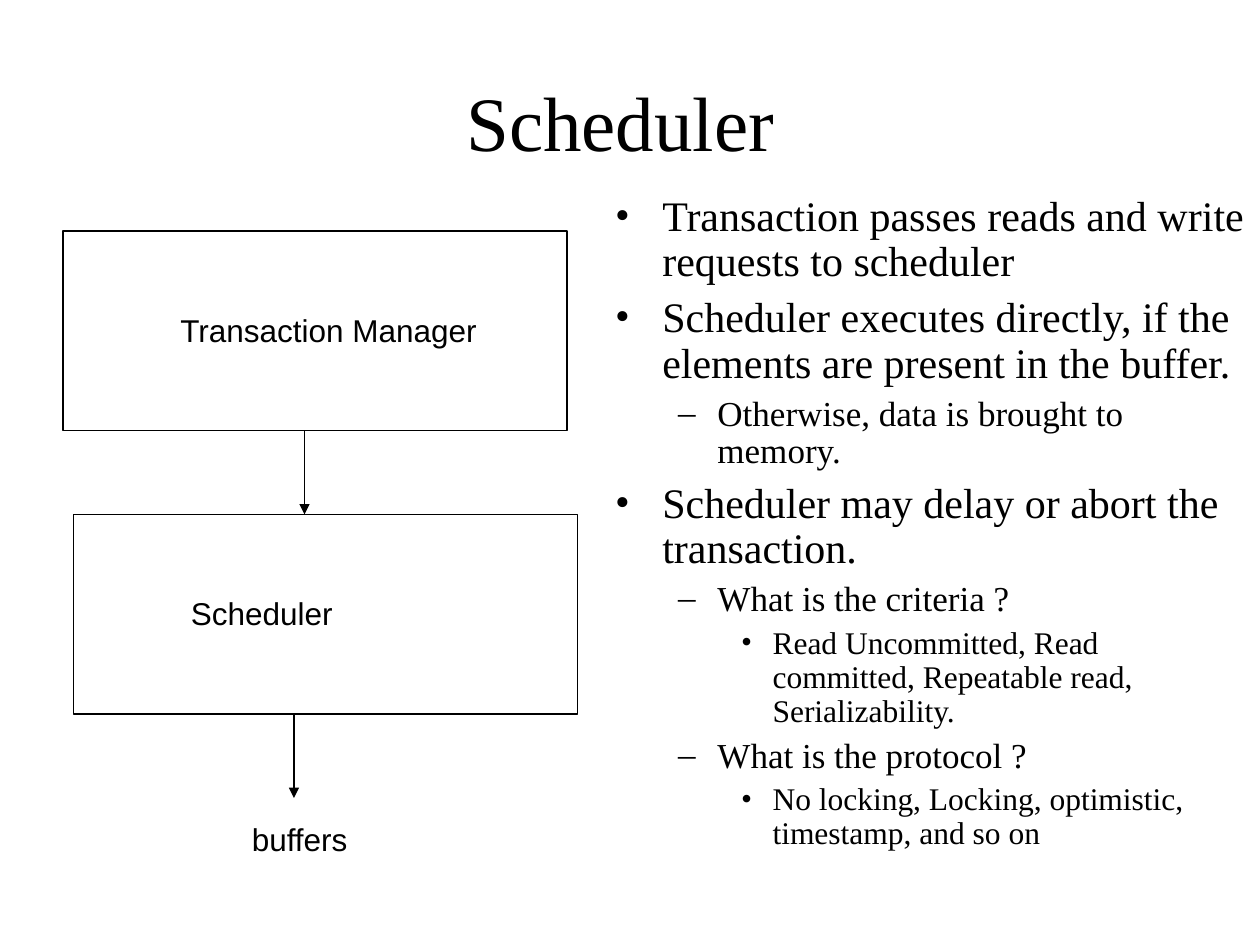
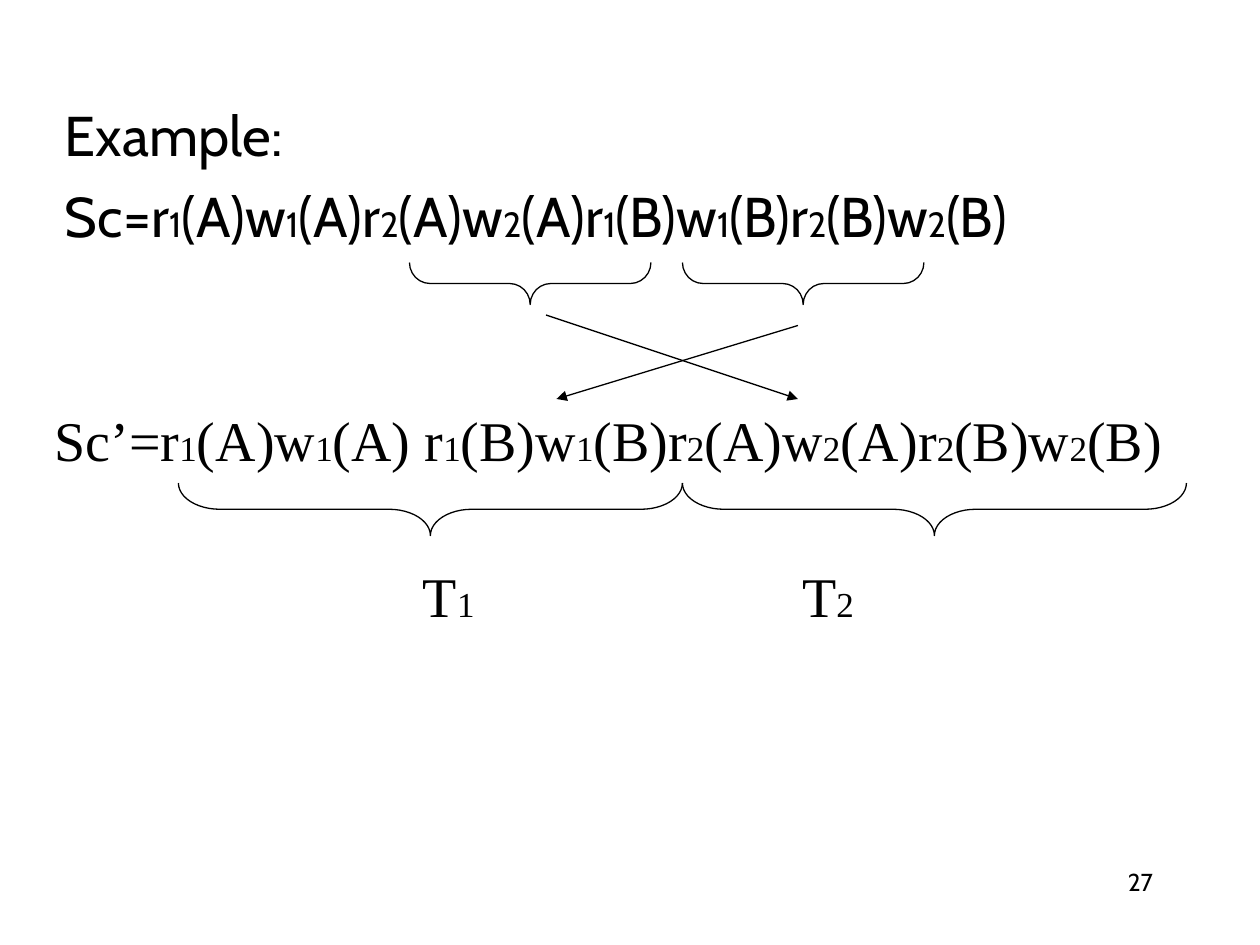
from itertools import groupby

from lxml import etree
from pptx import Presentation
from pptx import util as u
from pptx.dml.color import RGBColor
from pptx.enum import shapes, text
from pptx.oxml import ns

BLACK = RGBColor(0, 0, 0)
SERIF, SANS, ROUND = "Times New Roman", "Arial", "Cabin"
COLS, ROWS = 120, 90
CELL = u.Inches(10) // COLS
LINE = u.Pt(0.75)

# Outline levels: margin and hang in cells, size and space before in points
LEVELS = [
    ("•", 4.5, 4.5, 24, 6),
    ("–", 9.75, 3.75, 20, 5),
    ("•", 15, 3, 18, 4.5),
]

POINTS = [
    (0, "Transaction passes reads and write requests to scheduler"),
    (0, "Scheduler executes directly, if the elements are present in the buffer."),
    (1, "Otherwise, data is brought to memory."),
    (0, "Scheduler may delay or abort the transaction."),
    (1, "What is the criteria ?"),
    (2, "Read Uncommitted, Read committed, Repeatable read, Serializability."),
    (1, "What is the protocol ?"),
    (2, "No locking, Locking, optimistic, timestamp, and so on"),
]


def cells(*counts):
    return [u.Emu(round(n * CELL)) for n in counts]


def add(parent, tag, **attrs):
    return etree.SubElement(parent, ns.qn(tag), **attrs)


# Text
def frame(slide, box, wrap=True):
    body = slide.shapes.add_textbox(*cells(*box)).text_frame
    body.word_wrap = wrap
    return body


def style(para, font, size=None):
    para.font.name = font
    para.font.color.rgb = BLACK
    if size:
        para.font.size = u.Pt(size)


def write(slide, box, words, font, size, align=text.PP_ALIGN.LEFT, wrap=True):
    body = frame(slide, box, wrap)
    para = body.paragraphs[0]
    para.text = words
    para.alignment = align
    style(para, font, size)
    return body


def title(slide, box, words):
    body = write(slide, box, words, SERIF, 44, text.PP_ALIGN.CENTER)
    body.vertical_anchor = text.MSO_ANCHOR.MIDDLE


def label(slide, box, words):
    write(slide, box, words, SANS, 18, wrap=False)


def rows(body, items):
    """Yield one paragraph for each item, reusing the first."""
    for i, item in enumerate(items):
        yield i, body.paragraphs[0] if i == 0 else body.add_paragraph(), item


def outline(slide, box, points):
    for i, para, (level, words) in rows(frame(slide, box), points):
        mark, margin, hang, size, gap = LEVELS[level]
        para.text = words
        para.level = level
        props = para._p.get_or_add_pPr()
        props.set("marL", str(cells(margin)[0]))
        props.set("indent", str(-cells(hang)[0]))
        add(add(props, "a:buClr"), "a:srgbClr", val=str(BLACK))
        add(props, "a:buFont", typeface=SERIF)
        add(props, "a:buChar", char=mark)
        para.line_spacing = 0.9
        if i:
            para.space_before = u.Pt(gap)
        style(para, SERIF, size)


def formulas(slide, box, lines, font, gap, stops=()):
    """Write lines whose digits are small, like indices."""
    for i, para, line in rows(frame(slide, box), lines):
        if stops:
            tabs = add(para._p.get_or_add_pPr(), "a:tabLst")
            for stop in stops:
                add(tabs, "a:tab", pos=str(cells(stop)[0]), algn="l")
        if i:
            para.space_before = u.Pt(gap)
        style(para, font)
        for small, chars in groupby(line, str.isdigit):
            run = para.add_run()
            run.text = "".join(chars)
            run.font.size = u.Pt(20 if small else 32)


# Lines and outlines
def ink(shape):
    shape.line.color.rgb = BLACK
    shape.line.width = LINE


def arrow(slide, start, end):
    link = slide.shapes.add_connector(
        shapes.MSO_CONNECTOR.STRAIGHT, *cells(*start, *end))
    ink(link)
    add(link.line._get_or_add_ln(), "a:tailEnd", type="triangle")
    add(link._element.spPr, "a:effectLst")


def hollow(slide, kind, box):
    shape = slide.shapes.add_shape(kind, *cells(*box))
    shape.fill.background()
    shape.shadow.inherit = False
    ink(shape)
    return shape


def brace(slide, box, curve):
    """Draw a brace that points down and fills the box."""
    x, y, w, h = box
    turned = (x + (w - h) / 2, y + (h - w) / 2, h, w)
    shape = hollow(slide, shapes.MSO_SHAPE.LEFT_BRACE, turned)
    shape.adjustments[0] = curve
    shape.rotation = 270


# Regions
def flow(slide, box):
    x, y, w, h = box
    gap, tall = 8, 19
    low = y + tall + gap
    stages = [(x, y, "Transaction Manager", 31), (x + 1, low, "Scheduler", 16.5)]
    for left, top, words, wide in stages:
        hollow(slide, shapes.MSO_SHAPE.RECTANGLE, (left, top, w - 1, tall))
        label(slide, (left + 10, top + 7, wide, 4.8), words)
    for mid, top in ((x + 23, y + tall), (x + 22, low + tall)):
        arrow(slide, (mid, top), (mid, top + gap))
    label(slide, (x + 16.8, y + h - 4.8, 12, 4.8), "buffers")


def swap(slide, box):
    x, y, w, h = box
    half = 23
    for left in (x, x + w - half):
        brace(slide, (left, y, half, 4), 0.49)
    arrow(slide, (x + w - 12, y + 6), (x + 14, y + h))
    arrow(slide, (x + 13, y + 5), (x + w - 12, y + h))


def split(slide, box):
    x, y, w, h = box
    for i in range(2):
        brace(slide, (x + i * w / 2, y, w / 2, h), 0.79)


# Slides
def scheduler(slide):
    title(slide, (6, 4, 108, 15), "Scheduler ")
    outline(slide, (57.4, 18, 62.6, 68), POINTS)
    flow(slide, (6, 22, 49, 60.3))


def example(slide):
    formulas(slide, (5, 9, 111, 17),
             ["Example:", "Sc=r1(A)w1(A)r2(A)w2(A)r1(B)w1(B)r2(B)w2(B)"],
             ROUND, 8)
    swap(slide, (39, 25, 49, 13))
    formulas(slide, (4, 38, 111, 26),
             ["Sc’=r1(A)w1(A) r1(B)w1(B)r2(A)w2(A)r2(B)w2(B)", "\tT1\tT2"],
             SERIF, 51, stops=(35.1, 71.2))
    split(slide, (17, 46, 96, 5))
    write(slide, (86, 82, 25, 6), "27", ROUND, 14, text.PP_ALIGN.RIGHT)


def main():
    deck = Presentation()
    deck.slide_width, deck.slide_height = cells(COLS, ROWS)
    for build in (scheduler, example):
        build(deck.slides.add_slide(deck.slide_layouts[6]))
    deck.save("out.pptx")


if __name__ == "__main__":
    main()
